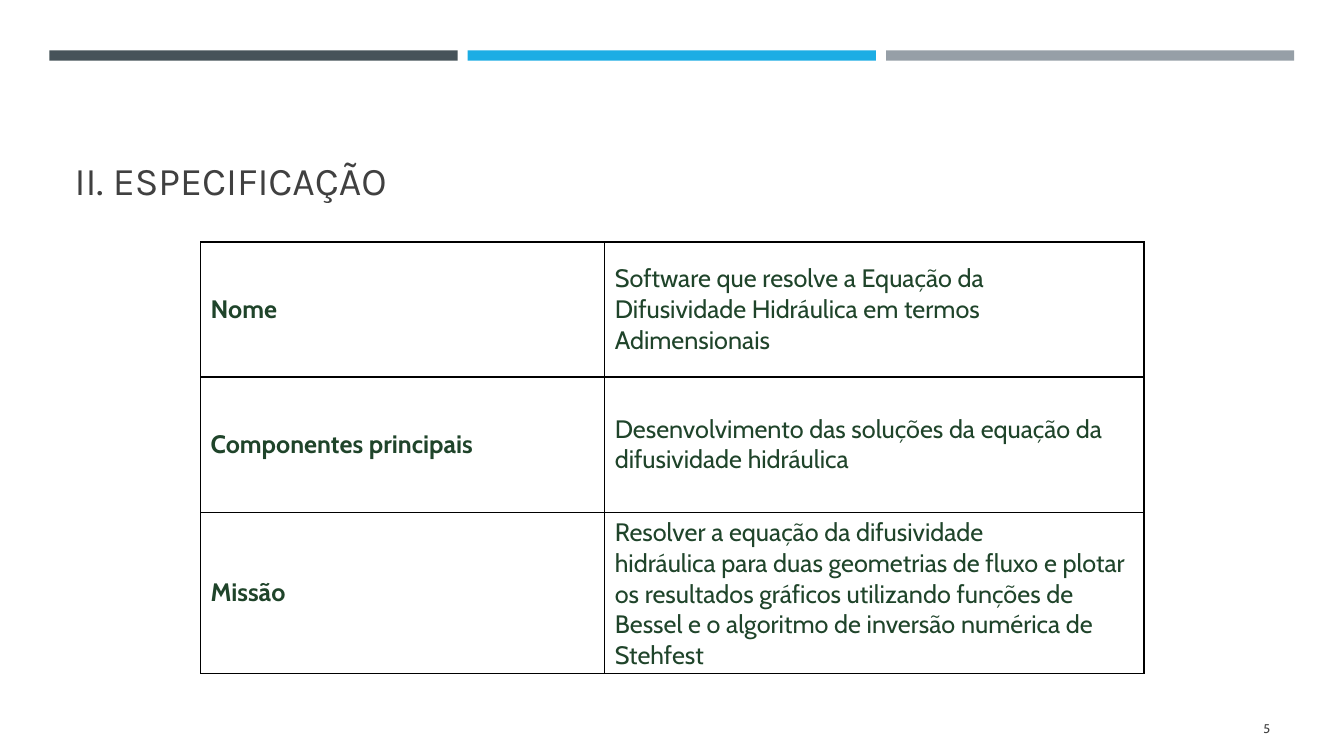
"""Build the specification slide with its three-row table."""
from dataclasses import dataclass

from lxml import etree
from pptx import Presentation
from pptx.dml.color import RGBColor
from pptx.enum.shapes import MSO_SHAPE
from pptx.enum.text import MSO_ANCHOR, MSO_AUTO_SIZE, PP_ALIGN
from pptx.oxml.ns import qn
from pptx.slide import Slide
from pptx.table import _Cell
from pptx.text.text import TextFrame
from pptx.util import Pt

RECT = MSO_SHAPE.RECTANGLE
MIDDLE, BOTTOM = MSO_ANCHOR.MIDDLE, MSO_ANCHOR.BOTTOM
LEFT, RIGHT = PP_ALIGN.LEFT, PP_ALIGN.RIGHT
NO_FIT = MSO_AUTO_SIZE.NONE

SLATE = RGBColor(0x46, 0x53, 0x59)
BLUE = RGBColor(0x1C, 0xAD, 0xE4)
GRAY = RGBColor(0x96, 0x9F, 0xA7)
INK = RGBColor(0x40, 0x40, 0x40)
GREEN = RGBColor(0x1F, 0x44, 0x2A)

BAR_LEFT, BAR_TOP, BAR_STEP = 35.3, 36, 298.8
BAR_WIDTH, BAR_HEIGHT = 291.6, 7.4
COLUMN_WIDTHS = (288.7, 385.2)
ROW_HEIGHT = 96.5


@dataclass(frozen=True)
class TextStyle:
    font: str
    size: float
    color: RGBColor
    bold: bool = False
    align: PP_ALIGN = LEFT


@dataclass(frozen=True)
class SpecRow:
    label: str
    lines: tuple[str, ...]


TITLE = TextStyle("Karla", 28, INK)
NUMBER = TextStyle("Cabin", 9, INK, align=RIGHT)
LABEL = TextStyle("Cabin", 18, GREEN, bold=True)
VALUE = TextStyle("Cabin", 18, GREEN)

ROWS = (
    SpecRow("Nome", (
        "Software que resolve a Equação da",
        "Difusividade Hidráulica em termos",
        "Adimensionais",
    )),
    SpecRow("Componentes principais", (
        "Desenvolvimento das soluções da equação da difusividade hidráulica",
    )),
    SpecRow("Missão", (
        "Resolver a equação da difusividade",
        "hidráulica para duas geometrias de fluxo e plotar os resultados "
        "gráficos utilizando funções de Bessel e o algoritmo de inversão "
        "numérica de Stehfest",
    )),
)


def write(tf: TextFrame, lines: tuple[str, ...], style: TextStyle) -> None:
    for i, line in enumerate(lines):
        p = tf.add_paragraph() if i else tf.paragraphs[0]
        p.alignment = style.align
        r = p.add_run()
        r.text = line
        r.font.name = style.font
        r.font.size = Pt(style.size)
        r.font.bold = style.bold
        r.font.color.rgb = style.color


def add_bars(s: Slide) -> None:
    for i, color in enumerate((SLATE, BLUE, GRAY)):
        sp = s.shapes.add_shape(RECT, Pt(BAR_LEFT + i * BAR_STEP), Pt(BAR_TOP),
                                Pt(BAR_WIDTH), Pt(BAR_HEIGHT))
        sp.shadow.inherit = False
        sp.fill.solid()
        sp.fill.fore_color.rgb = color
        sp.line.fill.background()


def add_title(s: Slide) -> None:
    sp = s.shapes.title
    sp.left, sp.top, sp.width, sp.height = Pt(46.1), Pt(55.4), Pt(868.3), Pt(93.6)
    tf = sp.text_frame
    tf.word_wrap = True
    tf.auto_size = NO_FIT
    tf.vertical_anchor = BOTTOM
    write(tf, ("II. ESPECIFICAÇÃO",), TITLE)


def add_number(s: Slide) -> None:
    sp = s.shapes.add_textbox(Pt(831.6), Pt(506.2), Pt(82.8), Pt(28.8))
    tf = sp.text_frame
    tf.word_wrap = True
    tf.vertical_anchor = MIDDLE
    write(tf, ("5",), NUMBER)


def add_borders(cell: _Cell) -> None:
    tc_pr = cell._tc.get_or_add_tcPr()
    for i, side in enumerate(("a:lnL", "a:lnR", "a:lnT", "a:lnB")):
        ln = etree.Element(qn(side), w=str(Pt(1)))
        fill = etree.SubElement(ln, qn("a:solidFill"))
        etree.SubElement(fill, qn("a:srgbClr"), val="000000")
        tc_pr.insert(i, ln)


def add_spec_table(s: Slide) -> None:
    frame = s.shapes.add_table(len(ROWS), len(COLUMN_WIDTHS), Pt(143.3), Pt(172.8),
                               Pt(sum(COLUMN_WIDTHS)), Pt(ROW_HEIGHT * len(ROWS)))
    table = frame.table
    table.first_row = False
    table.horz_banding = False
    for column, width in zip(table.columns, COLUMN_WIDTHS):
        column.width = Pt(width)
    for i, row in enumerate(ROWS):
        table.rows[i].height = Pt(ROW_HEIGHT)
        for j, (lines, style) in enumerate((((row.label,), LABEL), (row.lines, VALUE))):
            cell = table.cell(i, j)
            cell.fill.background()
            cell.vertical_anchor = MIDDLE
            add_borders(cell)
            write(cell.text_frame, lines, style)


def main() -> None:
    prs = Presentation()
    prs.slide_width, prs.slide_height = Pt(960), Pt(540)
    s = prs.slides.add_slide(prs.slide_layouts.get_by_name("Title Only"))
    add_bars(s)
    add_title(s)
    add_number(s)
    add_spec_table(s)
    prs.save("out.pptx")


if __name__ == "__main__":
    main()
